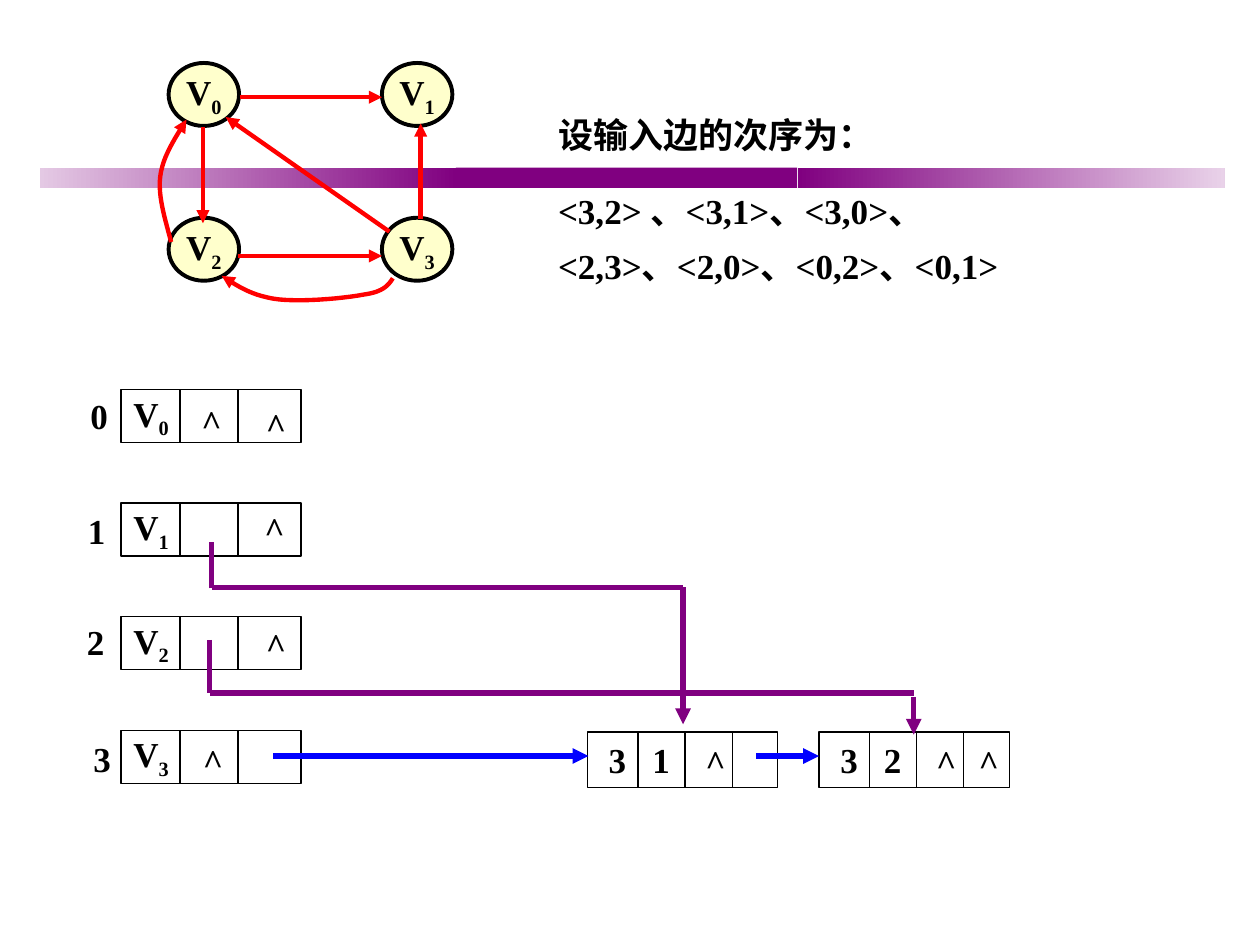
import pptx
import pptx.util
import pptx.dml.color
import pptx.enum.shapes
import pptx.enum.text
import pptx.oxml
import pptx.oxml.ns
from pptx.util import Cm

RGBColor = pptx.dml.color.RGBColor
BLACK = RGBColor(0x00, 0x00, 0x00)
PURPLE = RGBColor(0x80, 0x00, 0x80)
PALE_LEFT = RGBColor(0xE4, 0xC9, 0xE4)
PALE_RIGHT = RGBColor(0xE9, 0xD2, 0xE9)
BLUE = RGBColor(0x00, 0x00, 0xFF)
RED = RGBColor(0xFF, 0x00, 0x00)
CREAM = RGBColor(0xFF, 0xFF, 0xCC)

SHAPE = pptx.enum.shapes.MSO_SHAPE
ALIGN = pptx.enum.text.PP_ALIGN
ANCHOR = pptx.enum.text.MSO_ANCHOR
NS = pptx.oxml.ns.nsdecls("a")


def write_text(shape, text, sub="", align=ALIGN.LEFT, anchor=ANCHOR.MIDDLE,
               wrap=False, spacing=None, before=0, tab=None):
    """Write bold text, one paragraph per line, with an optional subscript."""
    frame = shape.text_frame
    frame.word_wrap = wrap
    frame.vertical_anchor = anchor
    for i, line in enumerate(text.split("\n")):
        paragraph = frame.add_paragraph() if i else frame.paragraphs[0]
        paragraph.alignment = align
        if spacing:
            paragraph.line_spacing = spacing
        if i:
            paragraph.space_before = pptx.util.Pt(before)
        if tab:
            paragraph._p.get_or_add_pPr().append(pptx.oxml.parse_xml(
                f'<a:tabLst {NS}><a:tab pos="{tab}" algn="l"/></a:tabLst>'))
        for part in filter(None, (line, sub)):
            run = paragraph.add_run()
            run.text = part
            run.font.name = "Times New Roman"
            run.font.size = pptx.util.Pt(20)
            run.font.bold = True
            run.font.color.rgb = BLACK
            if part is sub:
                run._r.get_or_add_rPr().set("baseline", "-25000")


def style_stroke(shape, colour, width, arrow):
    """Set the stroke without a shadow, with an arrowhead at the end if asked."""
    shape.line.color.rgb = colour
    shape.line.width = pptx.util.Pt(width)
    if arrow:
        shape.line._get_or_add_ln().append(
            pptx.oxml.parse_xml(f'<a:tailEnd {NS} type="triangle"/>'))
    shape._element.spPr.append(pptx.oxml.parse_xml(f"<a:effectLst {NS}/>"))


deck = pptx.Presentation()
deck.slide_width, deck.slide_height = Cm(25.4), Cm(19.05)
shapes = deck.slides.add_slide(deck.slide_layouts[6]).shapes

# Decorative band
for left, width, start, end in [(0.81, 8.41, PALE_LEFT, PURPLE),
                                (9.19, 6.88, PURPLE, PURPLE),
                                (16.08, 8.61, PURPLE, PALE_RIGHT)]:
    band = shapes.add_shape(SHAPE.RECTANGLE, Cm(left), Cm(3.38), Cm(width), Cm(0.41))
    band.shadow.inherit = False
    band.line.fill.background()
    if start == end:
        band.fill.solid()
        band.fill.fore_color.rgb = start
    else:
        band.fill.gradient()
        band.fill.gradient_angle = 0
        for stop, colour in zip(band.fill.gradient_stops, (start, end)):
            stop.color.rgb = colour

# Order in which the edges are entered
edge_order = shapes.add_textbox(Cm(11), Cm(1.9), Cm(9.53), Cm(5.11))
write_text(edge_order, "设输入边的次序为：\n<3,2> 、<3,1>、<3,0>、 <2,3>、<2,0>、<0,2>、<0,1>",
           anchor=ANCHOR.TOP, wrap=True, spacing=1.3, before=12.5)

# Boxes of the orthogonal list: left, top, width, height, divider offsets, text, subscript
ROW_TOP, ROW_STEP, EDGE_TOP = 7.85, 2.29, 14.76
boxes = [(2.44, ROW_TOP + i * ROW_STEP, 3.63, 1.07, (1.19, 2.36), "V", str(i))
         for i in range(4)]
boxes += [(left, EDGE_TOP, 3.84, 1.12, (1.02, 1.97, 2.92), ends, "")
          for left, ends in [(11.84, "3\t1"), (16.51, "3\t2")]]
strokes = []
for left, top, width, height, dividers, text, sub in boxes:
    box = shapes.add_shape(SHAPE.RECTANGLE, Cm(left), Cm(top), Cm(width), Cm(height))
    box.fill.background()
    style_stroke(box, BLACK, 0.75, False)
    if sub:
        write_text(box, text, sub=sub)
    else:
        box.text_frame.margin_left = Cm(0.43)
        write_text(box, text, wrap=True, tab=Cm(0.88))
    strokes += [(left + x, top, left + x, top + height, BLACK, 0.75, False)
                for x in dividers]

# Row numbers
for i, (left, top) in enumerate([(1.57, 7.82), (1.52, 10.13), (1.5, 12.37), (1.63, 14.73)]):
    row_number = shapes.add_textbox(Cm(left), Cm(top), Cm(0.86), Cm(1.12))
    write_text(row_number, str(i), align=ALIGN.CENTER)

# Null pointers
for left, top in [(3.81, 7.95), (5.11, 8), (5.08, 10.11), (5.11, 12.45), (3.84, 14.78),
                  (13.97, 14.81), (18.62, 14.81), (19.48, 14.81)]:
    null = shapes.add_textbox(Cm(left), Cm(top), Cm(0.91), Cm(1.12))
    write_text(null, "^", anchor=ANCHOR.TOP)

# Graph vertices
for i in range(4):
    vertex = shapes.add_shape(SHAPE.OVAL, Cm(3.4 + i % 2 * 4.3), Cm(1.27 + i // 2 * 3.12),
                              Cm(1.42), Cm(1.27))
    vertex.fill.solid()
    vertex.fill.fore_color.rgb = CREAM
    style_stroke(vertex, BLACK, 2.25, False)
    write_text(vertex, "V", sub=str(i), align=ALIGN.CENTER)

# Dividers, pointers and straight graph edges
strokes += [
    (5.51, 15.24, 11.86, 15.24, BLUE, 3, True),
    (15.24, 15.24, 16.51, 15.24, BLUE, 3, True),
    (4.27, 11.86, 4.27, 10.92, PURPLE, 3, False),
    (4.27, 11.84, 13.77, 11.84, PURPLE, 3, False),
    (13.77, 11.84, 13.77, 14.6, PURPLE, 3, True),
    (4.22, 12.9, 4.22, 13.97, PURPLE, 3, False),
    (4.24, 13.97, 18.42, 13.97, PURPLE, 3, False),
    (18.42, 14.05, 18.42, 14.81, PURPLE, 3, True),
    (4.83, 1.96, 7.7, 1.96, RED, 2.5, True),
    (4.8, 5.16, 7.7, 5.16, RED, 2.5, True),
    (4.09, 2.57, 4.09, 4.5, RED, 2.5, True),
    (7.85, 4.67, 4.55, 2.36, RED, 2.5, True),
    (8.48, 4.42, 8.48, 2.49, RED, 2.5, True),
]
for x1, y1, x2, y2, colour, width, arrow in strokes:
    stroke = shapes.add_connector(pptx.enum.shapes.MSO_CONNECTOR.STRAIGHT,
                                  Cm(x1), Cm(y1), Cm(x2), Cm(y2))
    style_stroke(stroke, colour, width, arrow)

# Curved graph edges: chained cubic Bezier control points
STEPS = 12
for controls in [
    [(7.92, 5.61), (7.82, 5.77), (7.7, 5.89), (7.32, 5.94), (6.91, 6.02),
     (5.97, 6.1), (5.51, 6.02), (5.03, 5.94), (4.75, 5.74), (4.47, 5.56)],
    [(3.45, 4.88), (3.33, 4.42), (3.18, 3.96), (3.23, 3.56), (3.28, 3.15),
     (3.53, 2.79), (3.76, 2.41)],
]:
    points = []
    for first in range(0, len(controls) - 1, 3):
        for step in range(1, STEPS + 1):
            t = step / STEPS
            weights = ((1 - t) ** 3, 3 * t * (1 - t) ** 2, 3 * t ** 2 * (1 - t), t ** 3)
            points.append(tuple(
                Cm(sum(w * c[axis] for w, c in zip(weights, controls[first:first + 4])))
                for axis in (0, 1)))
    outline = shapes.build_freeform(Cm(controls[0][0]), Cm(controls[0][1]))
    outline.add_line_segments(points, close=False)
    curve = outline.convert_to_shape()
    curve.fill.background()
    style_stroke(curve, RED, 2.5, True)

deck.save("out.pptx")
